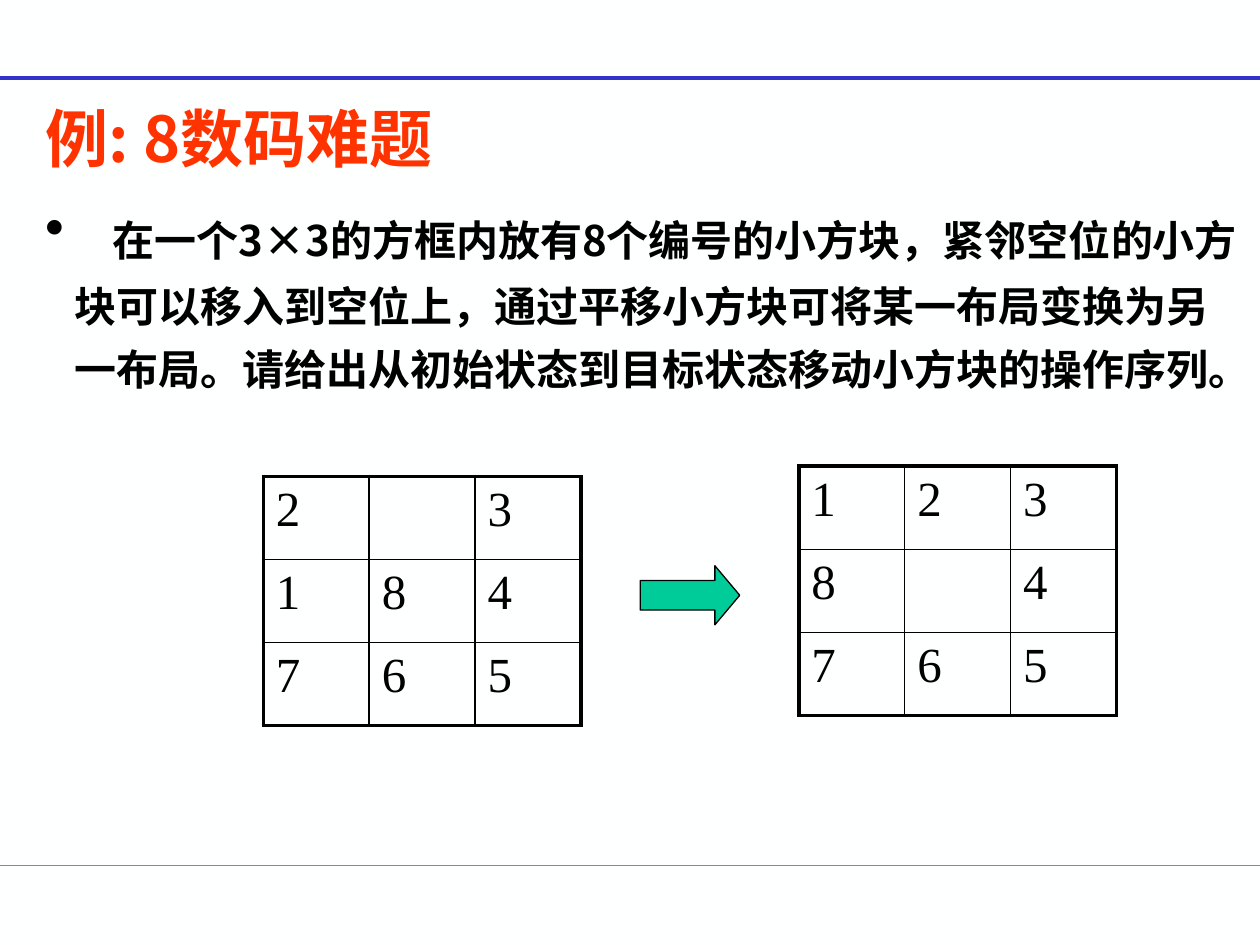
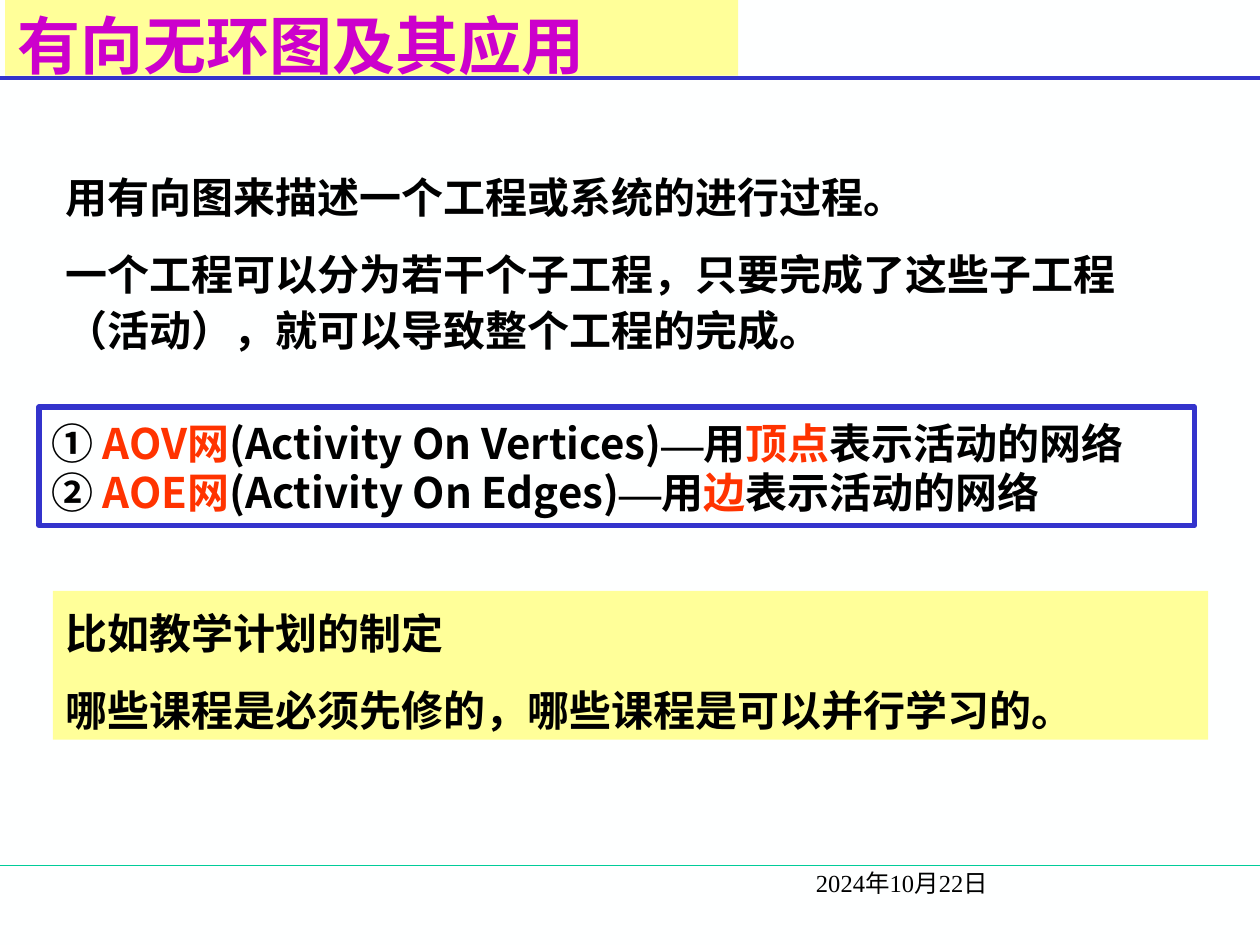
from dataclasses import dataclass
from typing import NamedTuple, Optional

from lxml import etree
from pptx import Presentation
from pptx.dml.color import RGBColor
from pptx.enum import shapes, text
from pptx.oxml import ns
from pptx.util import Pt


@dataclass(frozen=True)
class Theme:
    paper: str = "FEFFFF"
    ink: str = "000000"
    blue: str = "3333CC"
    green: str = "00CC99"
    red: str = "FF3300"
    magenta: str = "CC00CC"
    yellow: str = "FFFF99"
    sans: str = "Noto Sans CJK SC"
    serif: str = "Times New Roman"
    title_size: float = 36
    bullet_size: float = 32
    digit_size: float = 28
    body_size: float = 24
    date_size: float = 14
    title_line: float = 43


THEME = Theme()
WIDTH, HEIGHT = 720, 540


class Area(NamedTuple):
    left: float
    top: float
    width: float
    height: float


class Span(NamedTuple):
    words: str
    color: str = THEME.ink
    latin: str = THEME.sans
    asian: str = THEME.sans
    size: float = THEME.body_size
    bold: bool = True
    tracking: float = 0


@dataclass(frozen=True)
class Panel:
    area: Area
    paras: list[list[Span]]
    line: float
    gap: float = 0
    inset_left: float = 7.2
    inset_top: float = 6
    fill: Optional[str] = None
    border: Optional[str] = None


@dataclass(frozen=True)
class Rule:
    top: float
    color: str
    weight: float


@dataclass(frozen=True)
class Puzzle:
    left: float
    top: float
    rows: tuple[str, ...]
    cell_width: float = 60.5
    cell_height: float = 47.5


RULES = (Rule(494.6, THEME.green, 0.75), Rule(44.6, THEME.blue, 2.25))


def rgb(color: str) -> RGBColor:
    return RGBColor.from_string(color)


def write_spans(para, spans: list[Span]) -> None:
    for part in spans:
        span = para.add_run()
        span.text = part.words
        span.font.name = part.latin
        span.font.size = Pt(part.size)
        span.font.bold = part.bold
        span.font.color.rgb = rgb(part.color)
        props = span.font._element
        etree.SubElement(props, ns.qn("a:ea")).set("typeface", part.asian)
        if part.tracking:
            props.set("spc", str(round(part.tracking * 100)))


def prepare_frame(shape, left: float, top: float):
    frame = shape.text_frame
    frame.word_wrap = True
    frame.auto_size = text.MSO_AUTO_SIZE.NONE
    frame.vertical_anchor = text.MSO_ANCHOR.TOP
    frame.margin_left, frame.margin_right = Pt(left), Pt(7.2)
    frame.margin_top, frame.margin_bottom = Pt(top), Pt(0)
    return frame


def start_page(deck, title: str, area: Area, color: str, fill: Optional[str] = None):
    page = deck.slides.add_slide(deck.slide_layouts[5])
    page.background.fill.solid()
    page.background.fill.fore_color.rgb = rgb(THEME.paper)
    for rule in RULES:
        line = page.shapes.add_connector(
            shapes.MSO_CONNECTOR.STRAIGHT, Pt(0), Pt(rule.top), Pt(WIDTH), Pt(rule.top))
        line.line.color.rgb = rgb(rule.color)
        line.line.width = Pt(rule.weight)
        etree.SubElement(line._element.spPr, ns.qn("a:effectLst"))

    box = page.shapes.title
    box.left, box.top, box.width, box.height = map(Pt, area)
    if fill:
        box.fill.solid()
        box.fill.fore_color.rgb = rgb(fill)
    para = prepare_frame(box, 7.2, 4).paragraphs[0]
    para.alignment = text.PP_ALIGN.LEFT
    para.line_spacing = Pt(THEME.title_line)
    write_spans(para, [Span(title, color, size=THEME.title_size)])
    return page


def add_panel(page, panel: Panel):
    place = map(Pt, panel.area)
    if panel.fill or panel.border:
        box = page.shapes.add_shape(shapes.MSO_SHAPE.RECTANGLE, *place)
        box.shadow.inherit = False
    else:
        box = page.shapes.add_textbox(*place)
    if panel.fill:
        box.fill.solid()
        box.fill.fore_color.rgb = rgb(panel.fill)
    else:
        box.fill.background()
    if panel.border:
        box.line.color.rgb = rgb(panel.border)
        box.line.width = Pt(3)
    else:
        box.line.fill.background()
    frame = prepare_frame(box, panel.inset_left, panel.inset_top)
    for index, spans in enumerate(panel.paras):
        para = frame.add_paragraph() if index else frame.paragraphs[0]
        para.alignment = text.PP_ALIGN.LEFT
        para.line_spacing = Pt(panel.line)
        para.space_before = Pt(panel.gap if index else 0)
        write_spans(para, spans)
    return box


def add_bullet(para, indent: float) -> None:
    props = para._p.get_or_add_pPr()
    props.set("marL", str(Pt(indent)))
    props.set("indent", str(Pt(-indent)))
    etree.SubElement(props, ns.qn("a:buChar")).set("char", "•")


def add_border(cell, side: str, weight: float) -> None:
    line = etree.SubElement(cell._tc.get_or_add_tcPr(), ns.qn(f"a:ln{side}"), w=str(Pt(weight)))
    fill = etree.SubElement(line, ns.qn("a:solidFill"))
    etree.SubElement(fill, ns.qn("a:srgbClr"), val=THEME.ink)


def add_puzzle(page, puzzle: Puzzle) -> None:
    count = len(puzzle.rows)
    table = page.shapes.add_table(
        count, count, Pt(puzzle.left), Pt(puzzle.top),
        Pt(count * puzzle.cell_width), Pt(count * puzzle.cell_height)).table
    table.first_row = table.horz_banding = False
    for column in table.columns:
        column.width = Pt(puzzle.cell_width)
    last = count - 1
    for y, digits in enumerate(puzzle.rows):
        table.rows[y].height = Pt(puzzle.cell_height)
        for x, digit in enumerate(digits):
            cell = table.cell(y, x)
            edges = {"L": x == 0, "R": x == last, "T": y == 0, "B": y == last}
            for side, outer in edges.items():
                add_border(cell, side, 2.25 if outer else 1)
            cell.fill.background()
            if digit != " ":
                write_spans(cell.text_frame.paragraphs[0], [
                    Span(digit, latin=THEME.serif, size=THEME.digit_size, bold=False)])


def build_puzzle_page(deck) -> None:
    page = start_page(deck, "例: 8数码难题", Area(18.7, 53, 500, 54), THEME.red)
    task = add_panel(page, Panel(Area(18.7, 113.5, 701.3, 150), [[
        Span(" ", size=THEME.bullet_size, tracking=14.3),
        Span("在一个3×3的方框内放有8个编号的小方块，紧邻空位的小方块可以移入到空位上，"
             "通过平移小方块可将某一布局变换为另一布局。"
             "请给出从初始状态到目标状态移动小方块的操作序列。"),
    ]], line=36, inset_top=3.6))
    add_bullet(task.text_frame.paragraphs[0], 17)
    add_puzzle(page, Puzzle(150.5, 272.2, ("2 3", "184", "765")))
    add_puzzle(page, Puzzle(456.5, 266.4, ("123", "8 4", "765")))

    arrow = page.shapes.add_shape(
        shapes.MSO_SHAPE.RIGHT_ARROW, Pt(365.8), Pt(323.3), Pt(56.9), Pt(33.8))
    arrow.shadow.inherit = False
    arrow.adjustments[0], arrow.adjustments[1] = 0.5, 0.42
    arrow.fill.solid()
    arrow.fill.fore_color.rgb = rgb(THEME.green)
    arrow.line.color.rgb = rgb(THEME.ink)
    arrow.line.width = Pt(0.75)


def network(mark: str, name: str, english: str, carrier: str) -> list[Span]:
    return [
        Span(f"{mark} "), Span(f"{name}网", THEME.red), Span(f"(Activity On {english})"),
        Span("—", latin=THEME.serif, asian=THEME.serif),
        Span("用"), Span(carrier, THEME.red), Span("表示活动的网络"),
    ]


def build_graph_page(deck) -> None:
    page = start_page(deck, "有向无环图及其应用", Area(2.9, 0, 419, 43.2),
                      THEME.magenta, THEME.yellow)
    panels = [
        Panel(Area(388.8, 491, 331.2, 36), [[
            Span("2024年10月22日", latin=THEME.serif, size=THEME.date_size, bold=False)]],
            line=20, inset_left=77.5, inset_top=2),
        Panel(Area(30.2, 88.6, 635.8, 116.6), [
            [Span("用有向图来描述一个工程或系统的进行过程。", latin=THEME.serif)],
            [Span("一个工程可以分为若干个子工程，只要完成了这些子工程（活动），"
                  "就可以导致整个工程的完成。", latin=THEME.serif)]],
            line=32, gap=12),
        Panel(Area(22.3, 232.6, 660.2, 67.7), [
            network("①", "AOV", "Vertices", "顶点"),
            network("②", "AOE", "Edges", "边")],
            line=28.5, border=THEME.blue),
        Panel(Area(30.2, 337.7, 660.2, 85), [
            [Span("比如教学计划的制定", latin=THEME.serif)],
            [Span("哪些课程是必须先修的，哪些课程是可以并行学习的。", latin=THEME.serif)]],
            line=32, gap=12, fill=THEME.yellow),
    ]
    for panel in panels:
        add_panel(page, panel)


def main() -> None:
    deck = Presentation()
    deck.slide_width, deck.slide_height = Pt(WIDTH), Pt(HEIGHT)
    build_puzzle_page(deck)
    build_graph_page(deck)
    deck.save("out.pptx")


if __name__ == "__main__":
    main()
